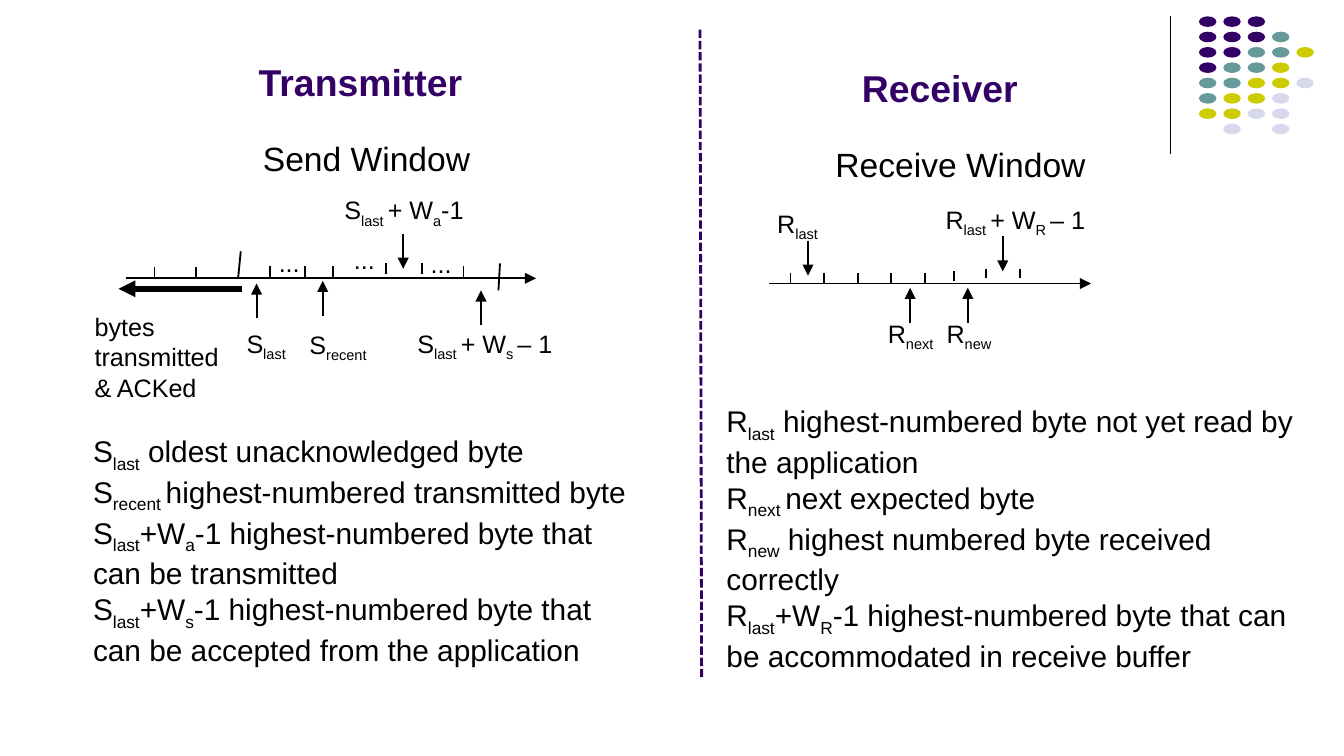
from dataclasses import dataclass

from lxml.etree import SubElement
from pptx import Presentation
from pptx.dml.color import RGBColor
from pptx.enum.dml import MSO_LINE
from pptx.enum.shapes import MSO_CONNECTOR, MSO_SHAPE
from pptx.enum.text import MSO_AUTO_SIZE
from pptx.oxml.ns import qn
from pptx.util import Cm, Pt

COLORS = {
    "text": "000000",
    "purple": "330066",
    "teal": "669999",
    "yellow": "CCCC00",
    "lavender": "D8D8EC",
}
DOT_COLORS = {"P": "purple", "T": "teal", "Y": "yellow", "L": "lavender"}
DOT_ROWS = ["PPP", "PPPT", "PPTTY", "PTTY", "TTYYL", "TYYL", "YYLL", " L L"]
ARROW_LENGTH = 0.66


@dataclass
class Label:
    """Text box in cm; square brackets in the text mark subscripts."""
    left: float
    top: float
    width: float
    height: float
    text: str
    size: float = 13.5
    color: str = "text"
    bold: bool = False
    wrap: bool = False


@dataclass
class Line:
    """Straight line in cm, with an optional arrowhead at its end."""
    x1: float
    y1: float
    x2: float
    y2: float
    weight: float = 1
    arrow: bool = False
    color: str = "text"
    dotted: bool = False


def rgb(name: str) -> RGBColor:
    return RGBColor.from_string(COLORS[name])


def draw_line(slide, line: Line) -> None:
    connector = slide.shapes.add_connector(
        MSO_CONNECTOR.STRAIGHT, Cm(line.x1), Cm(line.y1), Cm(line.x2), Cm(line.y2))
    connector.line.color.rgb = rgb(line.color)
    connector.line.width = Pt(line.weight)
    if line.dotted:
        connector.line.dash_style = MSO_LINE.SQUARE_DOT
    properties = connector._element.spPr
    if line.arrow:
        SubElement(properties.find(qn("a:ln")), qn("a:tailEnd"), type="triangle")
    SubElement(properties, qn("a:effectLst"))


def draw_label(slide, label: Label) -> None:
    box = slide.shapes.add_textbox(
        Cm(label.left), Cm(label.top), Cm(label.width), Cm(label.height))
    frame = box.text_frame
    frame.word_wrap = label.wrap
    frame.auto_size = MSO_AUTO_SIZE.SHAPE_TO_FIT_TEXT
    frame.margin_left = frame.margin_right = Cm(0.19)
    frame.margin_top = frame.margin_bottom = Cm(0.1)
    for index, text in enumerate(label.text.split("\n")):
        paragraph = frame.add_paragraph() if index else frame.paragraphs[0]
        for part, piece in enumerate(text.replace("]", "[").split("[")):
            if not piece:
                continue
            run = paragraph.add_run()
            run.text = piece
            if part % 2:
                run._r.get_or_add_rPr().set("baseline", "-25000")
        paragraph.font.name = "Arial"
        paragraph.font.size = Pt(label.size)
        paragraph.font.bold = label.bold
        paragraph.font.color.rgb = rgb(label.color)


def draw_dots(slide) -> None:
    for row, codes in enumerate(DOT_ROWS):
        for column, code in enumerate(codes):
            if code == " ":
                continue
            dot = slide.shapes.add_shape(
                MSO_SHAPE.OVAL, Cm(22.66 + 0.46 * column), Cm(0.31 + 0.29 * row),
                Cm(0.33), Cm(0.2))
            dot.shadow.inherit = False
            dot.fill.solid()
            dot.fill.fore_color.rgb = rgb(DOT_COLORS[code])
            dot.line.fill.background()


# Axes, window edges and dividers
LINES = [
    Line(22.12, 0.3, 22.12, 2.92, weight=0.75),
    Line(13.23, 0.56, 13.26, 12.8, weight=1.5, color="purple", dotted=True),
    Line(2.39, 5.26, 10.13, 5.26, arrow=True),
    Line(4.55, 4.75, 4.5, 5.26),
    Line(9.45, 4.98, 9.42, 5.49),
    Line(4.57, 5.46, 2.24, 5.46, weight=3, arrow=True),
    Line(14.53, 5.36, 20.62, 5.36, arrow=True),
]

# Byte ticks as (x, top)
SEND_TICKS = [(2.92, 5.05), (3.71, 5.05), (5.11, 5.03), (5.77, 5.03),
              (6.3, 5.03), (7.29, 4.98), (7.98, 4.98), (8.76, 5.03)]
RECEIVE_TICKS = [(14.94 + 0.635 * i, 5.16) for i in range(5)]
RECEIVE_TICKS += [(18.03, 5.13), (18.64, 5.08), (19.28, 5.08)]
LINES += [Line(x, top, x, top + 0.2) for x, top in SEND_TICKS]
LINES += [Line(x, top, x, top + 0.18) for x, top in RECEIVE_TICKS]

# Pointer arrows as (x, top)
UP_POINTERS = [(4.85, 5.36), (6.1, 5.31), (9.09, 5.49), (17.2, 5.44), (18.29, 5.44)]
DOWN_POINTERS = [(7.62, 4.42), (15.27, 4.55), (18.95, 4.47)]
LINES += [Line(x, top + ARROW_LENGTH, x, top, arrow=True) for x, top in UP_POINTERS]
LINES += [Line(x, top, x, top + ARROW_LENGTH, arrow=True) for x, top in DOWN_POINTERS]

LABELS = [
    # Transmitter
    Label(4.7, 1.02, 4.27, 1.04, "Transmitter", 20, "purple", bold=True),
    Label(4.78, 2.51, 4.34, 0.97, "Send Window", 18),
    Label(6.32, 3.58, 2.74, 0.76, "S[last ]+ W[a]-1"),
    Label(5.08, 4.57, 0.79, 0.76, "..."),
    Label(6.5, 4.52, 0.79, 0.76, "..."),
    Label(7.95, 4.6, 0.79, 0.76, "..."),
    Label(4.47, 6.1, 1.19, 0.76, "S[last]"),
    Label(5.66, 6.12, 1.6, 0.76, "S[recent]"),
    Label(7.7, 6.1, 3.2, 0.76, "S[last ]+ W[s ]– 1"),
    Label(1.6, 5.79, 3.12, 1.93, "bytes\ntransmitted\n& ACKed", wrap=True),
    Label(1.57, 8.08, 10.8, 4.29,
          "S[last] oldest unacknowledged byte\n"
          "S[recent ]highest-numbered transmitted byte\n"
          "S[last]+W[a]-1 highest-numbered byte that can be transmitted\n"
          "S[last]+W[s]-1 highest-numbered byte that can be accepted from the application",
          16, wrap=True),
    # Receiver
    Label(16.1, 1.14, 3.35, 1.04, "Receiver", 20, "purple", bold=True),
    Label(15.6, 2.62, 5.16, 0.97, "Receive Window", 18),
    Label(14.5, 3.84, 1.22, 0.76, "R[last]"),
    Label(17.68, 3.76, 3.3, 0.76, "R[last ]+ W[R ]– 1"),
    Label(16.59, 5.92, 1.35, 0.76, "R[next]"),
    Label(17.7, 5.92, 1.32, 0.76, "R[new]"),
    Label(13.54, 7.52, 11.3, 4.98,
          "R[last] highest-numbered byte not yet read by the application\n"
          "R[next ]next expected byte\n"
          "R[new] highest numbered byte received correctly\n"
          "R[last]+W[R]-1 highest-numbered byte that can be accommodated in receive buffer",
          16, wrap=True),
]


def main() -> None:
    deck = Presentation()
    deck.slide_width, deck.slide_height = Cm(25.4), Cm(14.29)
    slide = deck.slides.add_slide(deck.slide_layouts[6])
    draw_dots(slide)
    for line in LINES:
        draw_line(slide, line)
    for label in LABELS:
        draw_label(slide, label)
    deck.save("out.pptx")


if __name__ == "__main__":
    main()
